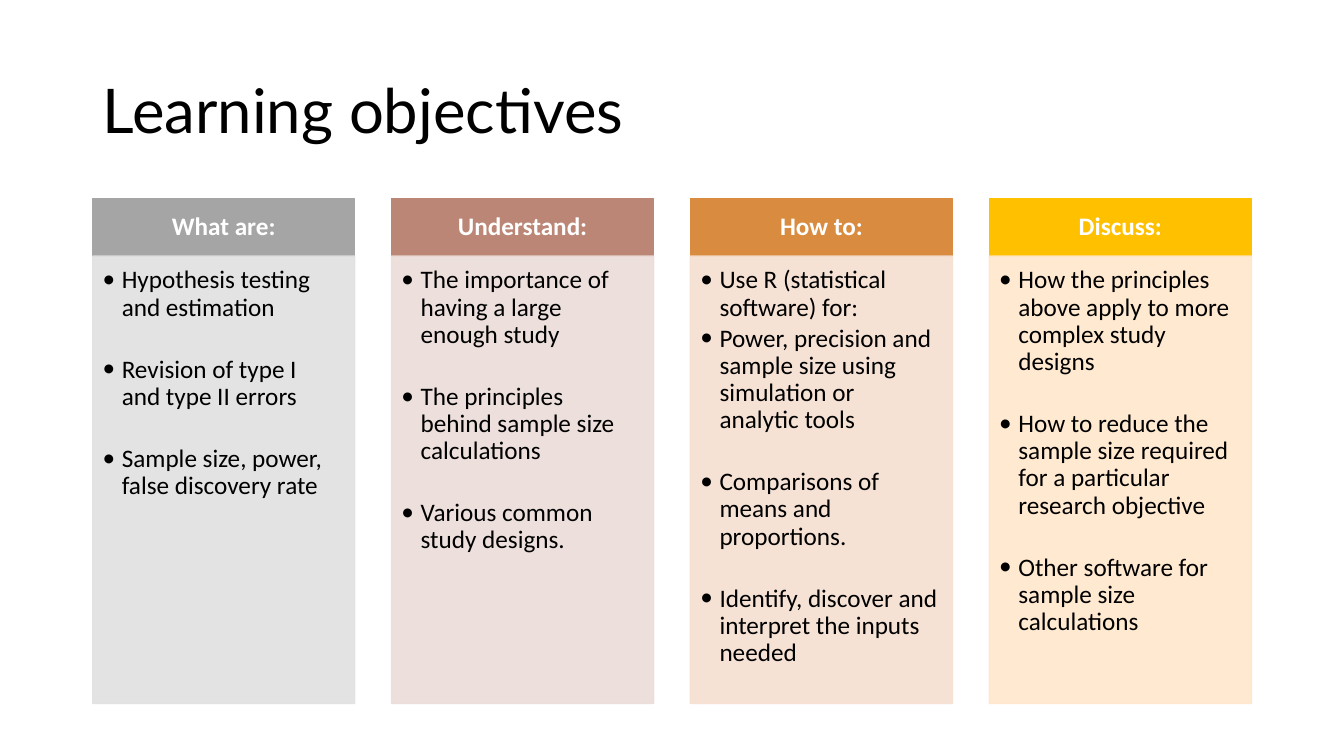
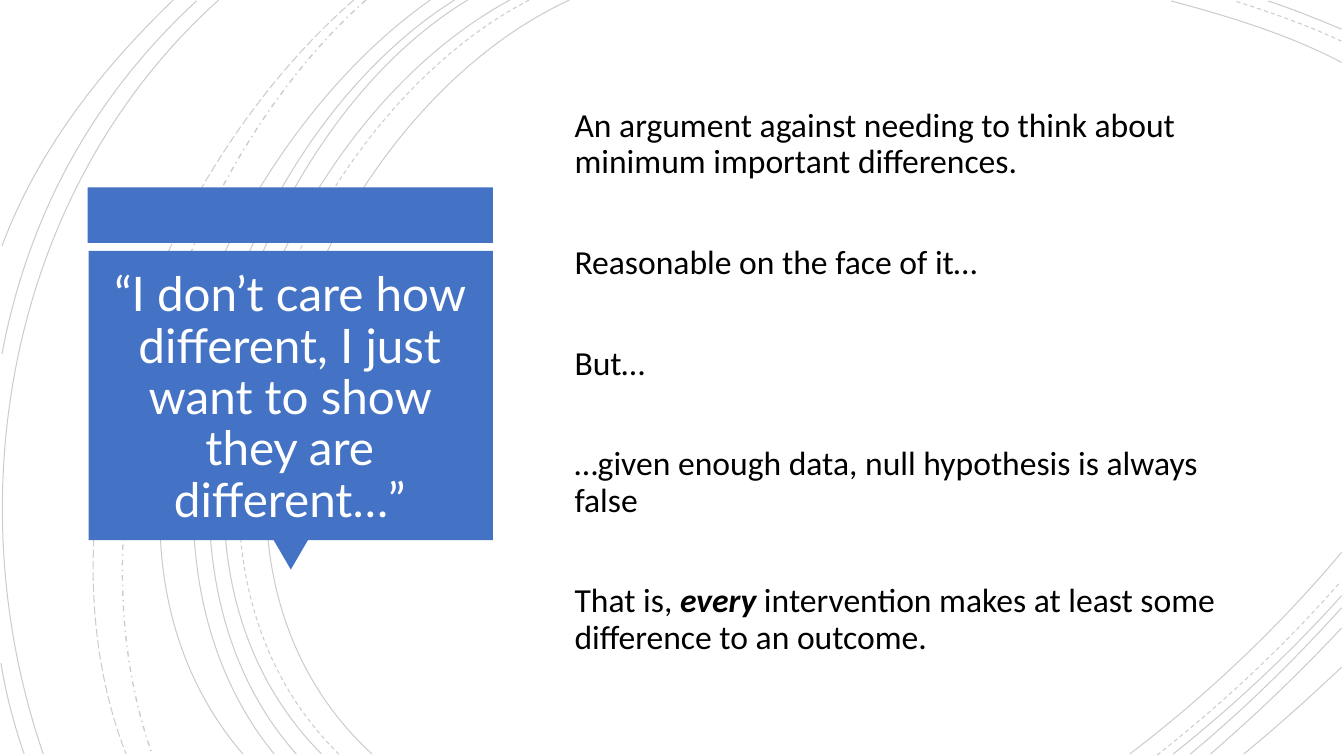
from typing import NamedTuple

from pptx import Presentation
from pptx.dml.color import RGBColor as Rgb
from pptx.enum.dml import MSO_LINE as Dash
from pptx.enum.shapes import MSO_SHAPE as Kind
from pptx.enum.text import MSO_ANCHOR as Anchor, MSO_AUTO_SIZE as Fit, PP_ALIGN as Align
from pptx.oxml.ns import qn
from pptx.oxml.xmlchemy import OxmlElement as Node
from pptx.util import Emu, Pt

SCALE = 9144
HEAD, BODY = "Lato", "Calibri"
COLORS = {
    "ink": "000000", "white": "FFFFFF", "blue": "4472C4",
    "gray": "A5A5A5", "gray_pale": "E1E1E1",
    "rose": "BB8676", "rose_pale": "ECDDD9",
    "orange": "D98B3F", "orange_pale": "F6DFD1",
    "gold": "FFC000", "gold_pale": "FFE7CB",
}


class Box(NamedTuple):
    left: float
    top: int
    width: int
    height: int


class Span(NamedTuple):
    text: str
    strong: bool = False
    slant: bool = False


class Style(NamedTuple):
    font: str
    size: int
    color: str
    align: Align = Align.LEFT
    bullet: bool = False


class Para(NamedTuple):
    spans: tuple[Span, ...]
    before: float = 0


class Column(NamedTuple):
    color: str
    title: str
    items: tuple[str, ...]
    tight: int = 0


class Arc(NamedTuple):
    points: tuple[tuple[int, int], ...]
    dash: Dash = Dash.SOLID
    weight: float = 0.75


COLUMNS = (
    Column("gray", "What are:", (
        "Hypothesis testing and estimation",
        "Revision of type I and type II errors",
        "Sample size, power, false discovery rate")),
    Column("rose", "Understand:", (
        "The importance of having a large enough study",
        "The principles behind sample size calculations",
        "Various common study designs.")),
    Column("orange", "How to:", (
        "Use R (statistical software) for:",
        "Power, precision and sample size using simulation or analytic tools",
        "Comparisons of means and proportions.",
        "Identify, discover and interpret the inputs needed"), tight=1),
    Column("gold", "Discuss:", (
        "How the principles above apply to more complex study designs",
        "How to reduce the sample size required for a particular research objective",
        "Other software for sample size calculations")),
)

ARCS = (
    Arc(((565, 0), (315, 115), (143, 540), (369, 748))),
    Arc(((1331, 62), (1278, 34), (1218, 16), (1162, 1))),
    Arc(((1121, 748), (1197, 690), (1269, 622), (1331, 548))),
    Arc(((525, 0), (285, 125), (123, 537), (336, 748)), Dash.DASH),
    Arc(((1331, 41), (1297, 25), (1260, 12), (1225, 1)), Dash.DASH),
    Arc(((1148, 749), (1213, 698), (1275, 640), (1330, 577)), Dash.DASH),
    Arc(((506, 0), (270, 127), (110, 537), (319, 748))),
    Arc(((1331, 29), (1307, 19), (1283, 9), (1258, 1))),
    Arc(((1164, 748), (1223, 701), (1280, 648), (1331, 591))),
    Arc(((464, 0), (244, 133), (110, 541), (294, 748))),
    Arc(((1181, 748), (1234, 704), (1284, 655), (1331, 603))),
    Arc(((451, 0), (231, 138), (97, 533), (272, 748))),
    Arc(((1201, 748), (1246, 709), (1290, 667), (1331, 623))),
    Arc(((427, 0), (217, 147), (53, 529), (241, 748))),
    Arc(((1234, 748), (1267, 721), (1299, 692), (1331, 662))),
    Arc(((363, 0), (176, 166), (65, 509), (151, 748)), Dash.DASH_DOT, 1),
    Arc(((351, 0), (157, 169), (29, 499), (125, 748)), Dash.LONG_DASH),
    Arc(((217, 0), (11, 185), (-46, 490), (43, 748))),
    Arc(((195, 1), (92, 96), (28, 214), (2, 351))),
    Arc(((1, 658), (6, 689), (14, 719), (24, 748))),
    Arc(((172, 0), (100, 69), (37, 150), (2, 244))),
)

CLAIMS = (
    (Span("An argument against needing to think about minimum important differences."),),
    (Span("Reasonable on the face of it…"),),
    (Span("But…"),),
    (Span("…given enough data, null hypothesis is always false"),),
    (Span("That is, "), Span("every", True, True),
     Span(" intervention makes at least some difference to an outcome.")),
)


def px(value: float) -> Emu:
    return Emu(round(value * SCALE))


def rgb(name: str) -> Rgb:
    return Rgb.from_string(COLORS[name])


def fade(props, share: int) -> None:
    for tint in props.iter(qn("a:srgbClr")):
        alpha = Node("a:alpha")
        alpha.set("val", str(share * 1000))
        tint.append(alpha)


def place(shape, box: Box) -> None:
    shape.left, shape.top, shape.width, shape.height = map(px, box)


def mark(para, bullet: bool) -> None:
    props = para._p.get_or_add_pPr()
    dent = px(19) if bullet else 0
    props.set("marL", str(dent))
    props.set("indent", str(-dent))
    if bullet:
        face, sign = Node("a:buFont"), Node("a:buChar")
        face.set("typeface", BODY)
        sign.set("char", "•")
        props.extend((face, sign))
    else:
        props.append(Node("a:buNone"))


def write(shape, paras: list[Para], style: Style, anchor: Anchor = Anchor.MIDDLE,
          inset: Box = Box(10, 5, 10, 5)) -> None:
    frame = shape.text_frame
    frame.word_wrap = True
    frame.auto_size = Fit.NONE
    frame.vertical_anchor = anchor
    (frame.margin_left, frame.margin_top,
     frame.margin_right, frame.margin_bottom) = map(px, inset)
    for row, item in enumerate(paras):
        para = frame.add_paragraph() if row else frame.paragraphs[0]
        mark(para, style.bullet)
        para.alignment = style.align
        para.line_spacing = 0.9
        para.space_before = Pt(item.before)
        para.space_after = Pt(0)
        for span in item.spans:
            run = para.add_run()
            run.text = span.text
            font = run.font
            font.name, font.size = style.font, Pt(style.size)
            font.bold, font.italic = span.strong, span.slant
            font.color.rgb = rgb(style.color)


def block(slide, box: Box, color: str, kind: Kind = Kind.RECTANGLE, edge: bool = False,
          share: int = 100):
    shape = slide.shapes.add_shape(kind, *map(px, box))
    shape.shadow.inherit = False
    shape.fill.solid()
    shape.fill.fore_color.rgb = rgb(color)
    if edge:
        shape.line.color.rgb = rgb(color)
        shape.line.width = Pt(1)
    else:
        shape.line.fill.background()
    if share < 100:
        fade(shape.element.spPr, share)
    return shape


def title(slide, text: str, box: Box, style: Style) -> None:
    shape = slide.shapes.title
    place(shape, box)
    write(shape, [Para((Span(text),))], style)


def panel(slide, index: int, column: Column) -> None:
    left = 92 + index * 296.5
    head = block(slide, Box(left, 197, 260, 57), column.color, edge=True)
    write(head, [Para((Span(column.title, True),))],
          Style(BODY, 18, "white", Align.CENTER), inset=Box(14, 8, 14, 8))
    body = block(slide, Box(left, 254, 260, 444), column.color + "_pale", edge=True, share=90)
    paras = [Para((Span(text),), 0 if row == 0 else 2.7 if row == column.tight else 24.8)
             for row, text in enumerate(column.items)]
    write(body, paras, Style(BODY, 18, "ink", bullet=True), Anchor.TOP, Box(10, 11, 14, 16))


def curve(slide, arc: Arc) -> None:
    start, *rest = [tuple(map(px, point)) for point in arc.points]
    pen = slide.shapes.build_freeform(*start, scale=1.0)
    pen.add_line_segments(rest, close=False)
    shape = pen.convert_to_shape()
    bend = Node("a:cubicBezTo")
    legs = list(shape.element.iter(qn("a:lnTo")))
    legs[0].addprevious(bend)
    for leg in legs:
        bend.append(leg[0])
        leg.getparent().remove(leg)
    shape.shadow.inherit = False
    shape.fill.background()
    line = shape.line
    line.color.rgb = rgb("ink")
    line.width = Pt(arc.weight)
    line.dash_style = arc.dash
    fade(shape.element.spPr, 20)


def goals(deck) -> None:
    slide = deck.slides.add_slide(deck.slide_layouts[5])
    title(slide, "Learning objectives", Box(92, 40, 1150, 145), Style(HEAD, 44, "ink"))
    for index, column in enumerate(COLUMNS):
        panel(slide, index, column)


def quote(deck) -> None:
    slide = deck.slides.add_slide(deck.slide_layouts[1])
    for arc in ARCS:
        curve(slide, arc)
    block(slide, Box(87, 186, 402, 55), "blue")
    block(slide, Box(271, 535, 35, 30), "blue", Kind.ISOSCELES_TRIANGLE).rotation = 180
    block(slide, Box(88, 249, 401, 287), "blue")
    title(slide, "“I don’t care how different, I just want to show they are different…”",
          Box(99, 265, 377, 262), Style(HEAD, 34, "white", Align.CENTER))
    body = slide.placeholders[1]
    place(body, Box(560, 60, 687, 639))
    write(body, [Para(spans, 46 if row else 0) for row, spans in enumerate(CLAIMS)],
          Style(BODY, 24, "ink"))
    for shape in (slide.shapes.title, body):
        shape.element.getparent().append(shape.element)


def main() -> None:
    deck = Presentation()
    deck.slide_width, deck.slide_height = Emu(12192000), Emu(6858000)
    goals(deck)
    quote(deck)
    deck.save("out.pptx")


if __name__ == "__main__":
    main()
